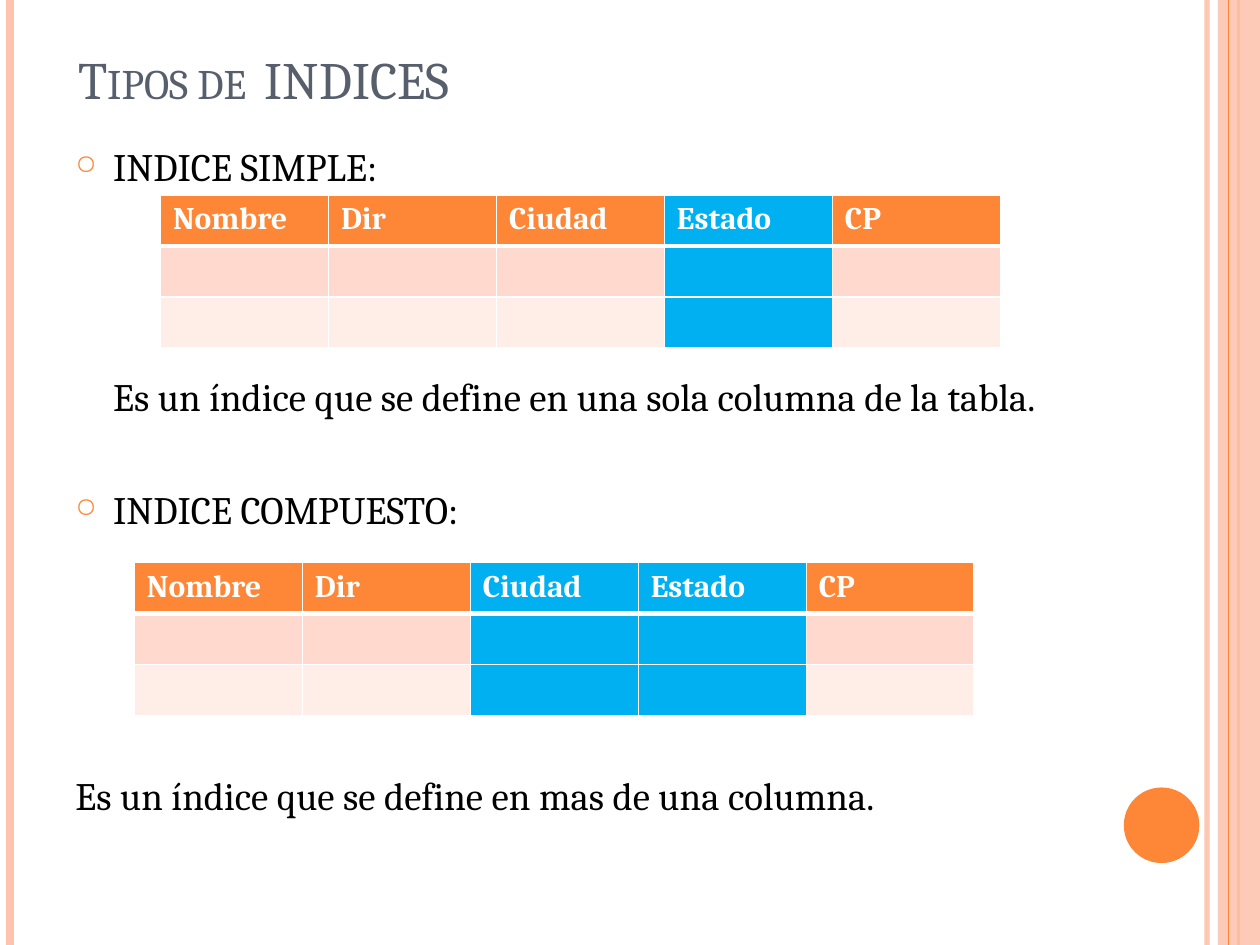
"""Build the slide that compares simple and compound table indexes."""
import pptx
import pptx.dml.color
import pptx.enum.shapes
import pptx.enum.text
import pptx.oxml
import pptx.util
from lxml import etree

Pt = pptx.util.Pt
RGBColor = pptx.dml.color.RGBColor
ORANGE = RGBColor(0xFE, 0x86, 0x37)
PEACH = RGBColor(0xFE, 0xC3, 0xAE)
BLUE = RGBColor(0x00, 0xB0, 0xF0)
DARK_BAND = RGBColor(0xFF, 0xD9, 0xCE)
LIGHT_BAND = RGBColor(0xFF, 0xED, 0xE8)
SLATE = RGBColor(0x57, 0x5F, 0x6D)
BLACK = RGBColor(0, 0, 0)
WHITE = RGBColor(0xFF, 0xFF, 0xFF)
FONT = "Cambria"
NAMESPACE = "http://schemas.openxmlformats.org/drawingml/2006/main"
DRAWING = "{" + NAMESPACE + "}"


def style_font(paragraph, size, color, bold=False):
    paragraph.font.name = FONT
    paragraph.font.size = Pt(size)
    paragraph.font.color.rgb = color
    paragraph.font.bold = bold


def set_alpha(shape, percent):
    color = next(shape._element.spPr.iter(DRAWING + "srgbClr"))
    etree.SubElement(color, DRAWING + "alpha", val=str(percent * 1000))


presentation = pptx.Presentation()
presentation.slide_width = Pt(720)
presentation.slide_height = Pt(540)
slide = presentation.slides.add_slide(presentation.slide_layouts[5])

rules = [
    (689.8, PEACH, 3, 93),
    (5.8, PEACH, 4.5, 100),
    (707.8, ORANGE, 1.5, 100),
    (702, ORANGE, 0.75, 100),
]
for left, color, width, opacity in rules:
    if left == 702:
        band = slide.shapes.add_shape(
            pptx.enum.shapes.MSO_SHAPE.RECTANGLE, Pt(696), 0, Pt(24), Pt(540))
        band.shadow.inherit = False
        band.fill.solid()
        band.fill.fore_color.rgb = PEACH
        band.line.fill.background()
        set_alpha(band, 87)
    rule = slide.shapes.add_connector(
        pptx.enum.shapes.MSO_CONNECTOR.STRAIGHT, Pt(left), 0, Pt(left), Pt(540))
    rule.line.color.rgb = color
    rule.line.width = Pt(width)
    if opacity < 100:
        set_alpha(rule, opacity)
    etree.SubElement(rule._element.spPr, DRAWING + "effectLst")

circle = slide.shapes.add_shape(
    pptx.enum.shapes.MSO_SHAPE.OVAL, Pt(642.2), Pt(450), Pt(43.2), Pt(43.2))
circle.shadow.inherit = False
circle.fill.solid()
circle.fill.fore_color.rgb = ORANGE
circle.line.fill.background()

title = slide.shapes.title
title.left, title.top, title.width, title.height = Pt(37.4), Pt(15.1), Pt(588), Pt(51.1)
title.text_frame.text = "Tipos de  INDICES"
title.text_frame.vertical_anchor = pptx.enum.text.MSO_ANCHOR.BOTTOM
heading = title.text_frame.paragraphs[0]
heading.alignment = pptx.enum.text.PP_ALIGN.LEFT
style_font(heading, 30, SLATE)
heading.runs[0]._r.get_or_add_rPr().set("cap", "small")

body = slide.shapes.add_textbox(Pt(36), Pt(77.8), Pt(588), Pt(384))
body.text_frame.word_wrap = True
lines = [
    ("INDICE SIMPLE:", 0, 21.6, True),
    ("Es un índice que se define en una sola columna de la tabla.", 104.7, 21.6, False),
    ("INDICE COMPUESTO:", 38.4, 21.6, True),
    ("Es un índice que se define en mas de una columna.", 136.7, 0, False),
]
for index, (text, space_before, margin, bulleted) in enumerate(lines):
    paragraph = body.text_frame.paragraphs[0] if index == 0 else body.text_frame.add_paragraph()
    paragraph.text = text
    paragraph.space_before = Pt(space_before)
    properties = paragraph._p.get_or_add_pPr()
    properties.set("marL", str(Pt(margin)))
    properties.set("indent", str(Pt(-margin if bulleted else 0)))
    if bulleted:
        bullet_color = etree.SubElement(properties, DRAWING + "buClr")
        etree.SubElement(bullet_color, DRAWING + "srgbClr", val=str(ORANGE))
        etree.SubElement(properties, DRAWING + "buSzPct", val="70000")
        etree.SubElement(properties, DRAWING + "buChar", char="○")
    style_font(paragraph, 22.2, BLACK)

headers = ["Nombre", "Dir", "Ciudad", "Estado", "CP"]
row_fills = [ORANGE, DARK_BAND, LIGHT_BAND]
tables = [(91.7, 111.4, {"Estado"}), (76.8, 321.4, {"Ciudad", "Estado"})]
for left, top, indexed in tables:
    frame = slide.shapes.add_table(3, 5, Pt(left), Pt(top), Pt(480), Pt(87.6))
    for row, row_fill in enumerate(row_fills):
        for column, header in enumerate(headers):
            cell = frame.table.cell(row, column)
            cell_properties = cell._tc.get_or_add_tcPr()
            for side in ("L", "R", "T", "B"):
                thick = (row, side) in ((0, "B"), (1, "T"))
                cell_properties.append(pptx.oxml.parse_xml(
                    f'<a:ln{side} xmlns:a="{NAMESPACE}" w="{Pt(3 if thick else 1)}">'
                    f'<a:solidFill><a:srgbClr val="{WHITE}"/></a:solidFill></a:ln{side}>'))
            cell.fill.solid()
            cell.fill.fore_color.rgb = BLUE if header in indexed else row_fill
            if row == 0:
                cell.text = header
                style_font(cell.text_frame.paragraphs[0], 18, WHITE, True)

presentation.save("out.pptx")
